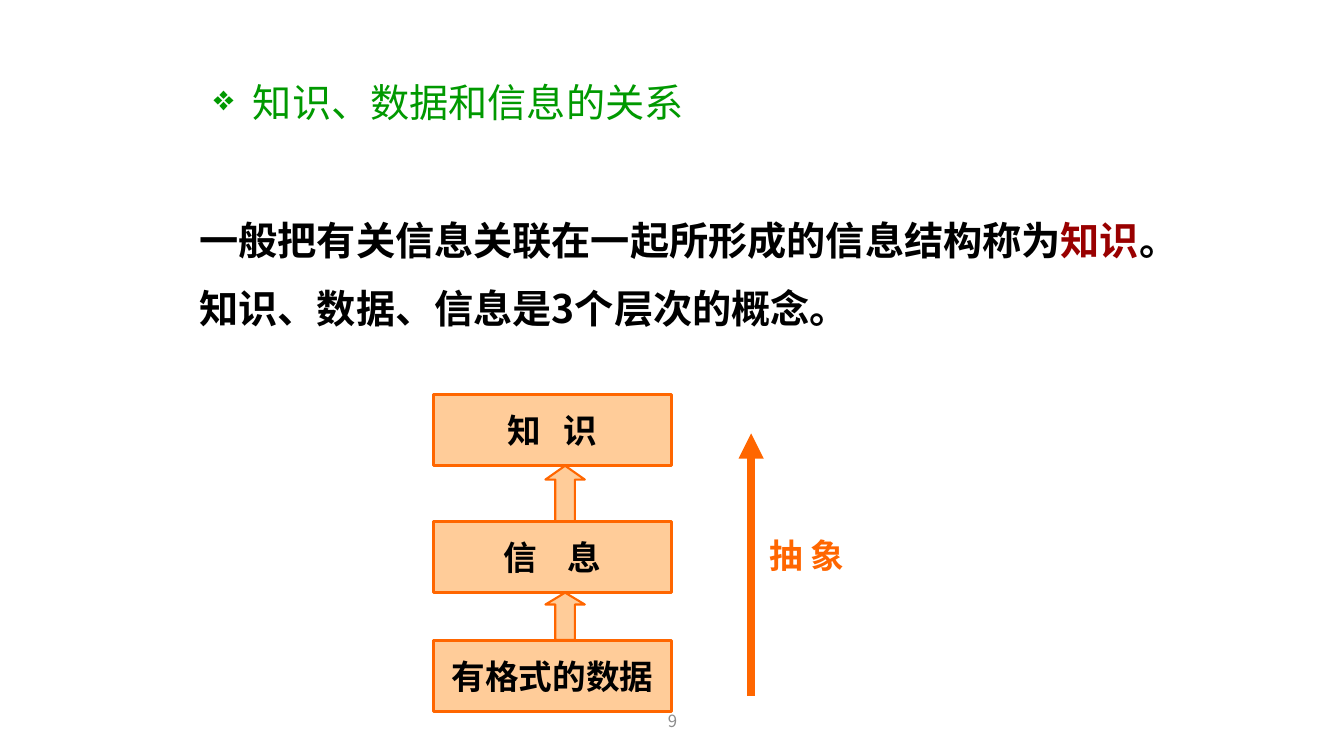
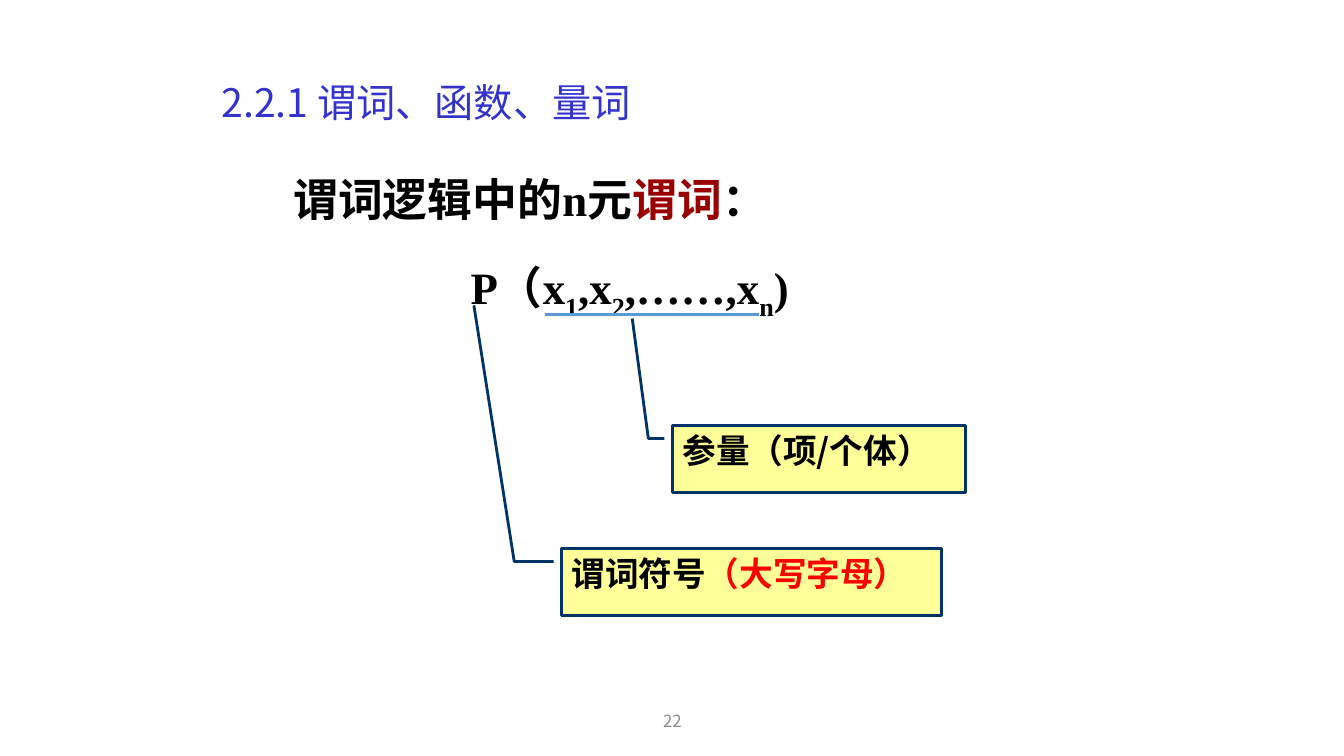
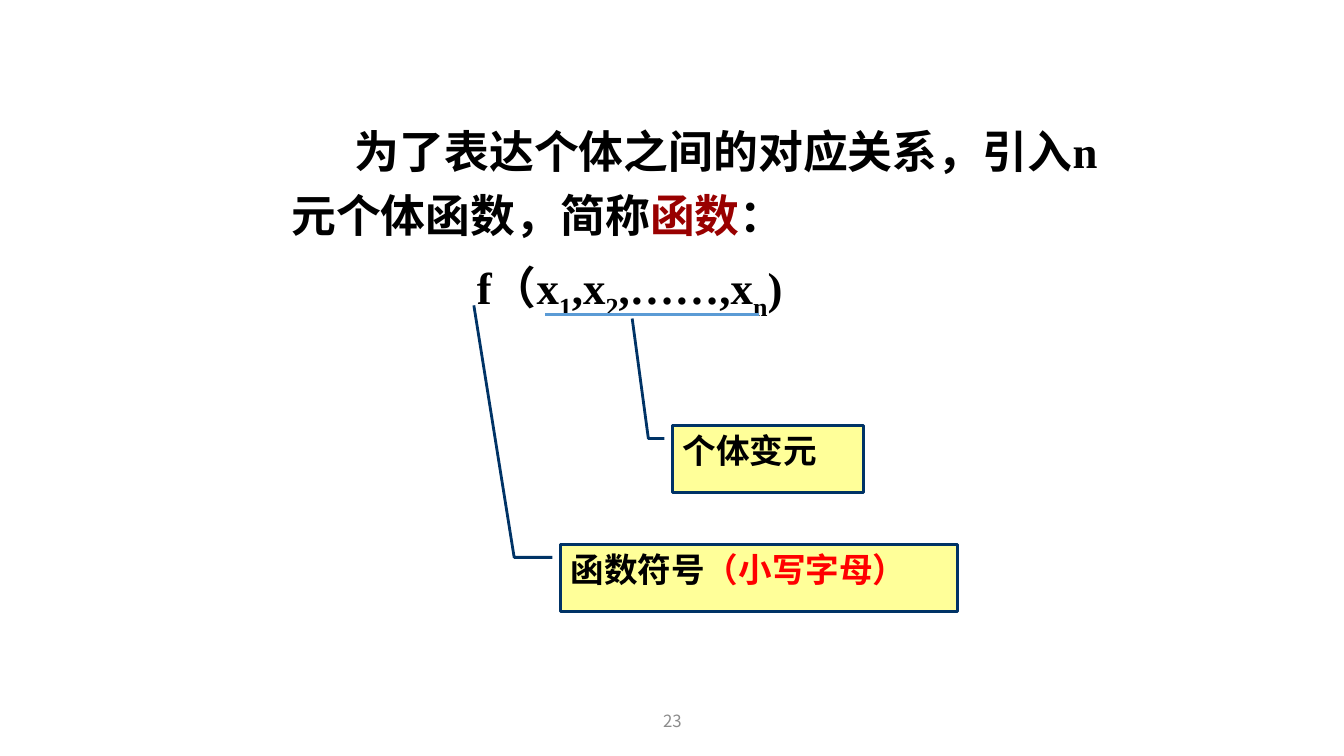
from dataclasses import dataclass
from typing import Optional

from lxml import etree
from pptx import Presentation
from pptx.dml.color import RGBColor
from pptx.enum import shapes, text
from pptx.oxml.ns import qn
from pptx.util import Inches, Pt

SANS, SERIF = "Noto Sans CJK SC", "Times New Roman"
BLACK, GREY, DARK_RED, RED = "000000", "8C8C8C", "990000", "FF0000"
GREEN, INDIGO, NAVY, BLUE = "009900", "3333CC", "003366", "5B9BD5"
ORANGE, PEACH, YELLOW = "FF6600", "FFCC99", "FFFF99"
LEFT, CENTER = text.PP_ALIGN.LEFT, text.PP_ALIGN.CENTER
TOP, MIDDLE = text.MSO_ANCHOR.TOP, text.MSO_ANCHOR.MIDDLE


@dataclass(frozen=True)
class Box:
    left: float
    top: float
    width: float
    height: float

    def lengths(self) -> list:
        return [Inches(v) for v in (self.left, self.top, self.width, self.height)]


@dataclass(frozen=True)
class Run:
    text: str
    color: Optional[str] = None
    baseline: int = 0      # percent
    spacing: float = 0     # points after each character


@dataclass(frozen=True)
class Style:
    size: float
    color: str = BLACK
    font: str = SANS
    bold: bool = True
    align: int = LEFT
    anchor: int = TOP
    wrap: bool = True
    line: float = 1.0
    before: float = 0      # share of the text size
    margin: float = 0
    indent: float = 0
    bullet: str = ""


@dataclass(frozen=True)
class Callout:
    box: Box
    runs: list
    tip: tuple
    elbow_x: float


NUMBER = Style(12, GREY, bold=False, align=CENTER, anchor=MIDDLE)
BODY = Style(28, line=1.2, before=0.3)
STATEMENT = Style(32, font=SERIF, line=1.2, before=0.3)
INTRO = Style(32, font=SERIF, line=1.2, before=0.3, margin=0.38, indent=0.63)
FORMULA = Style(32, font=SERIF, align=CENTER, line=1.2, before=0.3)
LEVEL = Style(24, align=CENTER, anchor=MIDDLE, wrap=False)
AXIS = Style(24, ORANGE, align=CENTER, wrap=False)
NOTE = Style(24)


def rgb(color: str) -> RGBColor:
    return RGBColor.from_string(color)


# Text
def write(sp, paragraphs: list, style: Style) -> None:
    tf = sp.text_frame
    tf.word_wrap = style.wrap
    tf.vertical_anchor = style.anchor
    for i, runs in enumerate(paragraphs):
        p = tf.paragraphs[0] if i == 0 else tf.add_paragraph()
        p.alignment = style.align
        p.line_spacing = style.line
        p.space_before = Pt(style.before * style.size)
        ppr = p._p.get_or_add_pPr()
        ppr.set("marL", str(Inches(style.margin)))
        ppr.set("indent", str(Inches(style.indent)))
        if style.bullet:
            etree.SubElement(ppr, qn("a:buSzPct"), val="90000")
            etree.SubElement(ppr, qn("a:buChar"), char=style.bullet)
        for run in runs:
            r = p.add_run()
            r.text = run.text
            r.font.size = Pt(style.size)
            r.font.bold = style.bold
            r.font.color.rgb = rgb(run.color or style.color)
            r.font.name = style.font
            rpr = r._r.get_or_add_rPr()
            etree.SubElement(rpr, qn("a:ea"), typeface=SANS)
            if run.baseline:
                rpr.set("baseline", str(run.baseline * 1000))
            if run.spacing:
                rpr.set("spc", str(round(run.spacing * 100)))


def add_text(s, box: Box, paragraphs: list, style: Style) -> None:
    write(s.shapes.add_textbox(*box.lengths()), paragraphs, style)


# Shapes and lines
def add_shape(s, kind, box: Box, fill: str, line: str, width: float):
    sp = s.shapes.add_shape(kind, *box.lengths())
    sp.shadow.inherit = False
    sp.fill.solid()
    sp.fill.fore_color.rgb = rgb(fill)
    sp.line.color.rgb = rgb(line)
    sp.line.width = Pt(width)
    return sp


def add_line(s, start: tuple, end: tuple, color: str, width: float,
             arrow: bool = False) -> None:
    points = [Inches(v) for v in (*start, *end)]
    line = s.shapes.add_connector(shapes.MSO_CONNECTOR.STRAIGHT, *points)
    line.line.color.rgb = rgb(color)
    line.line.width = Pt(width)
    if arrow:
        etree.SubElement(line.line._get_or_add_ln(), qn("a:tailEnd"), type="triangle")
    etree.SubElement(line._element.spPr, qn("a:effectLst"))


def add_callout(s, callout: Callout) -> None:
    box = callout.box
    sp = add_shape(s, shapes.MSO_SHAPE.LINE_CALLOUT_2, box, YELLOW, NAVY, 2)
    start_y = box.top + 0.13
    leader = [(box.left - 0.08, start_y), (callout.elbow_x, start_y), callout.tip]
    for i, (x, y) in enumerate(leader):
        sp.adjustments[2 * i] = (y - box.top) / box.height
        sp.adjustments[2 * i + 1] = (x - box.left) / box.width
    write(sp, [callout.runs], NOTE)


# Parts the slides share
def new_slide(prs, number: int):
    s = prs.slides.add_slide(prs.slide_layouts[6])
    add_text(s, Box(4.42, 6.95, 4.5, 0.4), [[Run(str(number))]], NUMBER)
    return s


def add_title(s, left: float, title: str, color: str, bullet: str = "") -> None:
    hang = 0.39 if bullet else 0
    style = Style(28, color, bold=False, anchor=MIDDLE, line=0.9,
                  margin=hang, indent=-hang, bullet=bullet)
    add_text(s, Box(left, 0.68, 9, 0.71), [[Run(title)]], style)


def add_formula(s, symbol: str, symbol_note: Callout, argument_note: Callout) -> None:
    runs = [Run(symbol + "（x")]
    for index, following in (("1", ",x"), ("2", ",……,x"), ("n", ")")):
        runs += [Run(index, baseline=-25), Run(following)]
    add_text(s, Box(4.23, 2.41, 4.03, 0.85), [runs], FORMULA)
    add_callout(s, symbol_note)
    add_callout(s, argument_note)
    add_line(s, (5.41, 3.12), (7.53, 3.12), BLUE, 2.25)


def symbol_callout(box: Box, name: str, case: str) -> Callout:
    return Callout(box, [Run(name), Run(case, RED)], (4.7, 3.03), 5.1)


def argument_callout(width: float, name: str) -> Callout:
    return Callout(Box(6.67, 4.22, width, 0.67), [Run(name)], (6.27, 3.16), 6.43)


# Slides
def knowledge_slide(prs) -> None:
    s = new_slide(prs, 9)
    add_title(s, 2.02, "知识、数据和信息的关系", GREEN, "❖")
    add_text(s, Box(1.88, 2, 10.54, 1.6), [
        [Run("一般把有关信息关联在一起所形成的信息结构称为"),
         Run("知识", DARK_RED), Run("。")],
        [Run("知识、数据、信息是3个层次的概念。")],
    ], BODY)

    # Levels from bottom to top, each joined to the one above
    height = 0.71
    levels = [
        (6.35, [Run("有格式的数据")]),
        (5.17, [Run("信"), Run(" ", spacing=16), Run("息")]),
        (3.91, [Run("知"), Run(" ", spacing=11), Run("识")]),
    ]
    for top, runs in levels:
        sp = add_shape(s, shapes.MSO_SHAPE.RECTANGLE, Box(4.3, top, 2.36, height),
                       PEACH, ORANGE, 2.25)
        write(sp, [runs], LEVEL)
    for (lower, _), (upper, _) in zip(levels, levels[1:]):
        box = Box(5.41, upper + height, 0.39, lower - upper - height)
        sp = add_shape(s, shapes.MSO_SHAPE.UP_ARROW, box, PEACH, ORANGE, 1.5)
        sp.adjustments[1] = 0.25 * box.height / box.width

    # Direction of abstraction
    add_line(s, (7.45, 6.9), (7.45, 4.3), ORANGE, 6, arrow=True)
    add_text(s, Box(7.51, 5.26, 0.99, 0.5), [[Run("抽 象")]], AXIS)


def predicate_slide(prs) -> None:
    s = new_slide(prs, 22)
    add_title(s, 2.1, "2.2.1 谓词、函数、量词", INDIGO)
    add_text(s, Box(2.81, 1.55, 5.35, 0.85),
             [[Run("谓词逻辑中的n元"), Run("谓词", DARK_RED), Run("：")]], STATEMENT)
    add_formula(s, "P",
                symbol_callout(Box(5.57, 5.44, 3.77, 0.67), "谓词符号", "（大写字母）"),
                argument_callout(2.91, "参量（项/个体）"))


def function_slide(prs) -> None:
    s = new_slide(prs, 23)
    add_text(s, Box(2.41, 1.07, 8.58, 1.5),
             [[Run("为了表达个体之间的对应关系，引入n元个体函数，简称"),
               Run("函数", DARK_RED), Run("：")]], INTRO)
    add_formula(s, "f",
                symbol_callout(Box(5.56, 5.4, 3.94, 0.67), "函数符号", "（小写字母）"),
                argument_callout(1.89, "个体变元"))


def main() -> None:
    prs = Presentation()
    prs.slide_width, prs.slide_height = Inches(13.33), Inches(7.5)
    knowledge_slide(prs)
    predicate_slide(prs)
    function_slide(prs)
    prs.save("out.pptx")


if __name__ == "__main__":
    main()
